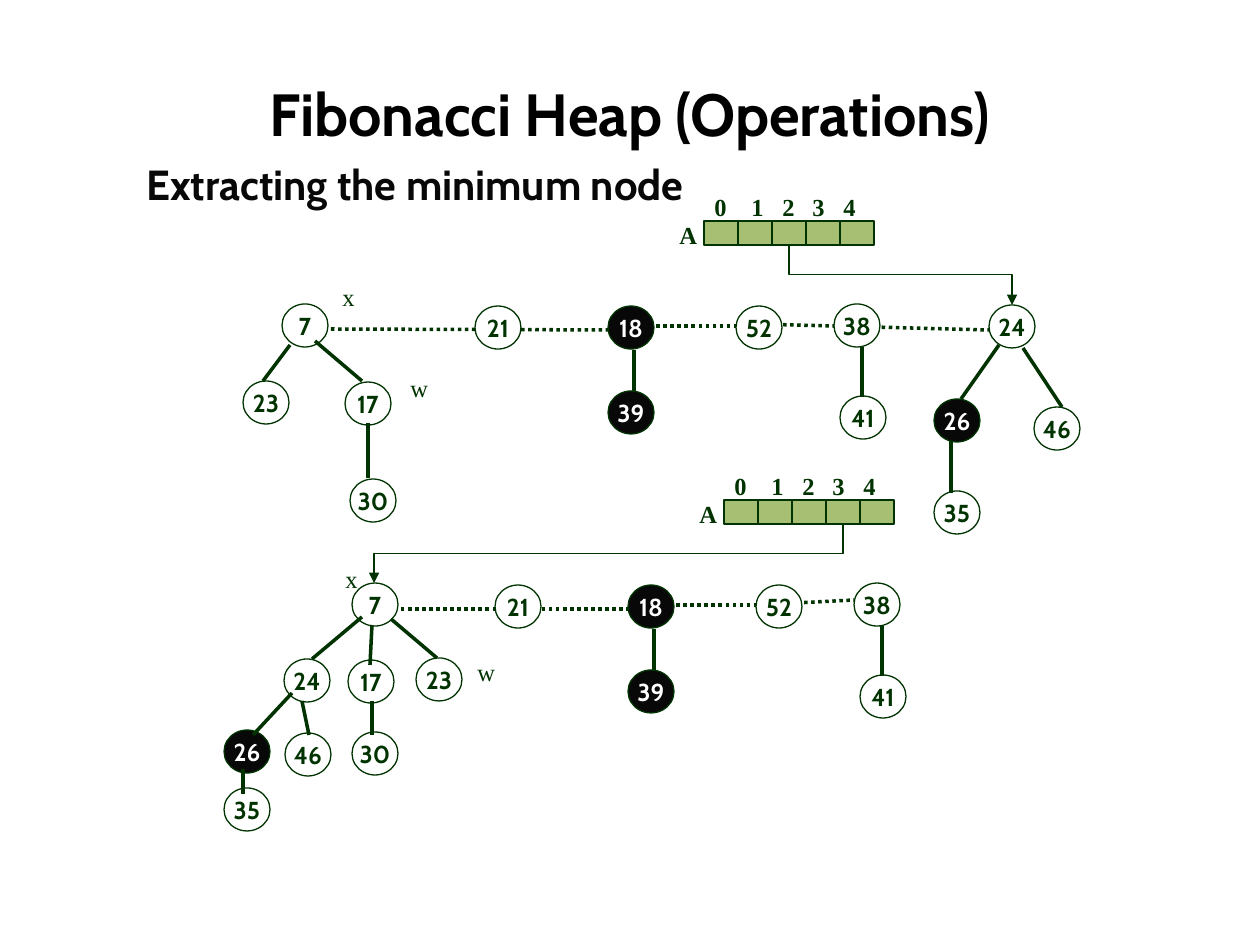
from lxml.etree import SubElement
from pptx import Presentation
from pptx.dml.color import RGBColor
from pptx.enum.dml import MSO_LINE
from pptx.enum.shapes import MSO_CONNECTOR, MSO_SHAPE
from pptx.enum.text import MSO_ANCHOR, PP_ALIGN
from pptx.oxml.ns import qn
from pptx.util import Emu, Pt

GREEN = RGBColor(0x00, 0x33, 0x00)
LEAF = RGBColor(0xA6, 0xBF, 0x73)
INK = RGBColor(0x08, 0x08, 0x08)
BLACK = RGBColor(0, 0, 0)
WHITE = RGBColor(0xFF, 0xFF, 0xFF)
SANS, SERIF = "Cabin", "Times New Roman"

NODE_W, NODE_H = 46, 43
CELL_W, CELL_H = 34, 24
TABS = (37, 68, 98, 129)  # places of the indices 1 to 4
MARKED = (18, 26, 39)

# Parts that both heaps share: nodes (key, x, y) and lines (x1, y1, x2, y2)
NODES = [(21, 271, 126), (18, 404, 126), (39, 404, 211),
         (52, 532, 126), (38, 630, 124), (41, 636, 216)]
EDGES = [(430, 170, 430, 212), (658, 167, 658, 217)]
DOTS = [(410, 146, 565, 146)]

BEFORE = dict(
    nodes=[(7, 78, 124), (23, 39, 201), (17, 141, 202), (30, 146, 299),
           (24, 785, 125), (26, 730, 219), (46, 830, 227), (35, 730, 311)],
    edges=[(86, 165, 59, 201), (111, 161, 158, 201), (164, 243, 164, 298),
           (795, 165, 757, 219), (819, 168, 858, 227), (747, 261, 747, 313)],
    dots=[(127, 149, 413, 150), (551, 144, 785, 150)],
    marks=[("x", 126, 96), ("w", 194, 187)],
    arrow=(585, 64, 808, 125))

AFTER = dict(
    nodes=[(7, 128, 124), (24, 60, 200), (17, 124, 201), (23, 192, 199),
           (26, 0, 271), (46, 61, 274), (30, 128, 273), (35, 0, 329)],
    edges=[(138, 158, 88, 200), (148, 166, 146, 206), (167, 160, 213, 199),
           (68, 234, 29, 276), (78, 242, 85, 276), (148, 242, 148, 276),
           (19, 310, 19, 335)],
    dots=[(177, 150, 414, 150), (552, 145, 630, 141)],
    marks=[("x", 109, 99), ("w", 241, 192)],
    arrow=(619, 65, 150, 124))


def px(n):
    return Emu(round(n * 914400 / 126))


def style(para, size, color, face, bold=True):
    for run in para.runs:
        font = run.font
        font.size, font.name, font.bold = Pt(size), face, bold
        font.color.rgb = color


def text(slide, box, words, size, color, face, bold=True):
    frame = slide.shapes.add_textbox(*map(px, box)).text_frame
    frame.word_wrap = True
    frame.text = words
    para = frame.paragraphs[0]
    style(para, size, color, face, bold)
    return frame, para


def solid(slide, kind, box, fill):
    shape = slide.shapes.add_shape(kind, *map(px, box))
    shape.shadow.inherit = False
    shape.fill.solid()
    shape.fill.fore_color.rgb = fill
    shape.line.color.rgb = GREEN
    shape.line.width = Pt(0.75)
    return shape


def line(slide, ends, width, kind=MSO_CONNECTOR.STRAIGHT):
    link = slide.shapes.add_connector(kind, *map(px, ends))
    link.line.color.rgb = GREEN
    link.line.width = Pt(width)
    SubElement(link._element.spPr, qn("a:effectLst"))
    return link


def node(slide, x, y, key):
    dark = key in MARKED
    shape = solid(slide, MSO_SHAPE.OVAL, (x, y, NODE_W, NODE_H),
                  INK if dark else WHITE)
    frame = shape.text_frame
    frame.word_wrap = False
    frame.vertical_anchor = MSO_ANCHOR.MIDDLE
    frame.text = str(key)
    para = frame.paragraphs[0]
    para.alignment = PP_ALIGN.CENTER
    style(para, 14, WHITE if dark else GREEN, SANS)


def arrow(slide, x1, y1, x2, y2):
    """Elbow that leaves downwards: a sideways elbow turned a quarter."""
    wide, high = abs(x2 - x1), y2 - y1
    left = (x1 + x2 - high) / 2
    top = (y1 + y2 - wide) / 2
    near, far, turn = left, left + high, 90
    if x2 > x1:
        near, far, turn = far, near, 270
    link = line(slide, (near, top, far, top + wide), 0.75,
                MSO_CONNECTOR.ELBOW)
    link._element.spPr.find(qn("a:xfrm")).set("rot", str(turn * 60000))
    SubElement(link.line._get_or_add_ln(), qn("a:tailEnd"), type="triangle")


def array(slide, x, y):
    for i in range(5):
        solid(slide, MSO_SHAPE.RECTANGLE,
              (x + i * CELL_W, y, CELL_W, CELL_H), LEAF)
    para = text(slide, (x - 2, y - 35, 180, 45), "0\t1\t2\t3\t4",
                14, GREEN, SERIF)[1]
    stops = SubElement(para._p.get_or_add_pPr(), qn("a:tabLst"))
    for stop in TABS:
        SubElement(stops, qn("a:tab"), pos=str(px(stop)), algn="l")
    text(slide, (x - 37, y - 7, 46, 45), "A", 14, GREEN, SERIF)


def heap(slide, x, y, nodes, edges, dots, marks, arrow_ends):
    def move(ends):
        return [n + d for n, d in zip(ends, (x, y, x, y))]

    array(slide, x + 500, y + 41)
    # Root list, behind the nodes
    for ends in DOTS + dots:
        line(slide, move(ends), 2).line.dash_style = MSO_LINE.ROUND_DOT
    for key, dx, dy in NODES + nodes:
        node(slide, x + dx, y + dy, key)
    # Parent to child
    for ends in EDGES + edges:
        line(slide, move(ends), 2)
    for word, dx, dy in marks:
        text(slide, (x + dx, y + dy, 46, 45), word, 14, GREEN, SERIF, False)
    arrow(slide, *move(arrow_ends))


def heads(slide):
    frame, para = text(slide, (63, 63, 1134, 100),
                       "Fibonacci Heap (Operations)", 34, BLACK, SANS)
    frame.vertical_anchor = MSO_ANCHOR.MIDDLE
    para.alignment = PP_ALIGN.CENTER
    para = text(slide, (134, 127, 992, 306),
                "Extracting the minimum node", 24, INK, SANS)[1]
    para.alignment = PP_ALIGN.JUSTIFY
    para.line_spacing = 1.5


def main():
    deck = Presentation()
    deck.slide_width, deck.slide_height = px(1260), px(945)
    slide = deck.slides.add_slide(deck.slide_layouts[6])
    heads(slide)
    for x, y, data in ((204, 180, BEFORE), (224, 459, AFTER)):
        heap(slide, x, y, *data.values())
    deck.save("out.pptx")


if __name__ == "__main__":
    main()
